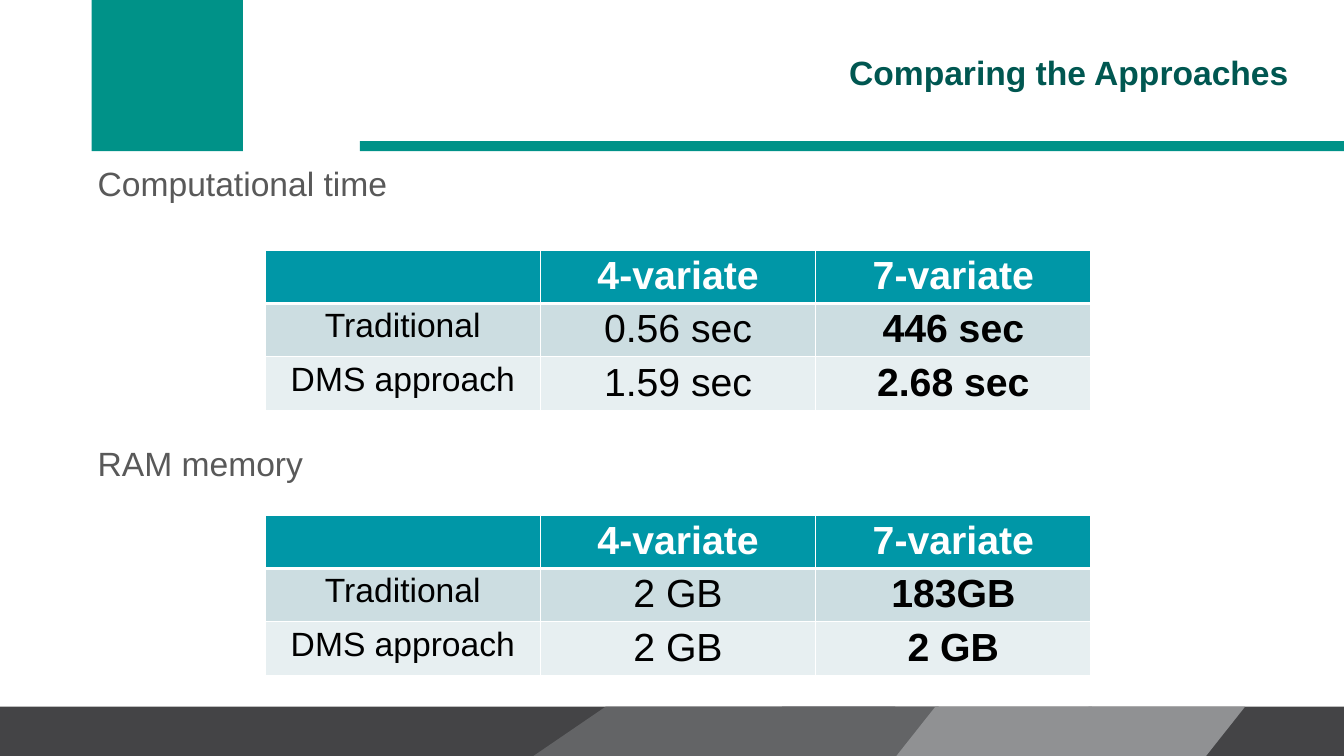
from dataclasses import dataclass

from lxml import etree
from pptx import Presentation
from pptx.dml.color import RGBColor
from pptx.enum.shapes import MSO_SHAPE
from pptx.enum.text import MSO_ANCHOR, MSO_AUTO_SIZE, PP_ALIGN
from pptx.oxml.ns import qn
from pptx.util import Inches, Pt

RECTANGLE = MSO_SHAPE.RECTANGLE
SLANTED = MSO_SHAPE.FLOWCHART_DATA
LEFT, CENTER, RIGHT = PP_ALIGN.LEFT, PP_ALIGN.CENTER, PP_ALIGN.RIGHT
TOP, MIDDLE = MSO_ANCHOR.TOP, MSO_ANCHOR.MIDDLE
NO_FIT = MSO_AUTO_SIZE.NONE


@dataclass(frozen=True)
class Theme:
    font: str = "Arial"
    teal: str = "009288"
    title: str = "005751"
    heading: str = "595959"
    table_head: str = "0097A7"
    odd_row: str = "CCDDE1"
    even_row: str = "E7EFF1"
    white: str = "FFFFFF"
    black: str = "000000"
    footer_dark: str = "444446"
    footer_mid: str = "636466"
    footer_light: str = "909193"
    normal_size: int = 24
    value_size: int = 28


def write_text(frame, text, *, theme, size, color, bold=False, align=LEFT, line_spacing=None):
    para = frame.paragraphs[0]
    para.alignment = align
    para.line_spacing = line_spacing
    font = para.font
    if text:
        span = para.add_run()
        span.text = text
        font = span.font
    font.name = theme.font
    font.size = Pt(size)
    font.bold = bold
    font.color.rgb = RGBColor.from_string(color)


class SlideBuilder:
    def __init__(self, page, theme):
        self.page = page
        self.theme = theme

    def block(self, kind, left, top, width, height, color):
        shape = self.page.shapes.add_shape(
            kind, Inches(left), Inches(top), Inches(width), Inches(height))
        shape.shadow.inherit = False
        shape.fill.solid()
        shape.fill.fore_color.rgb = RGBColor.from_string(color)
        shape.line.fill.background()

    def frame(self, box, anchor):
        frame = box.text_frame
        frame.word_wrap = True
        frame.auto_size = NO_FIT
        frame.vertical_anchor = anchor
        frame.margin_left = frame.margin_right = Inches(0.1)
        frame.margin_top = frame.margin_bottom = Inches(0.1)
        return frame

    def title(self, text, left, top, width, height):
        box = self.page.shapes.title
        box.left, box.top = Inches(left), Inches(top)
        box.width, box.height = Inches(width), Inches(height)
        write_text(self.frame(box, MIDDLE), text, theme=self.theme,
                   size=self.theme.normal_size, color=self.theme.title, bold=True, align=RIGHT)

    def heading(self, text, left, top, width, height):
        box = self.page.shapes.add_textbox(
            Inches(left), Inches(top), Inches(width), Inches(height))
        write_text(self.frame(box, TOP), text, theme=self.theme,
                   size=self.theme.normal_size, color=self.theme.heading, line_spacing=0.9)

    def borders(self, cell, top_width, bottom_width):
        properties = cell._tc.get_or_add_tcPr()
        widths = {"a:lnL": 1, "a:lnR": 1, "a:lnT": top_width, "a:lnB": bottom_width}
        for position, (tag, width) in enumerate(widths.items()):
            line = etree.Element(qn(tag), w=str(Pt(width)))
            fill = etree.SubElement(line, qn("a:solidFill"))
            etree.SubElement(fill, qn("a:srgbClr"), val=self.theme.white)
            properties.insert(position, line)

    def table(self, rows, left, top, column_width, row_height):
        theme = self.theme
        columns = len(rows[0])
        table = self.page.shapes.add_table(
            len(rows), columns, Inches(left), Inches(top),
            Inches(column_width * columns), Inches(row_height * len(rows))).table
        for column in table.columns:
            column.width = Inches(column_width)
        row_fills = (theme.table_head, theme.odd_row, theme.even_row)
        for row_index, values in enumerate(rows):
            table.rows[row_index].height = Inches(row_height)
            is_head = row_index == 0
            for column_index, text in enumerate(values):
                cell = table.cell(row_index, column_index)
                cell.margin_top = cell.margin_bottom = Inches(0.04)
                cell.fill.solid()
                cell.fill.fore_color.rgb = RGBColor.from_string(row_fills[row_index])
                self.borders(cell, 3 if row_index == 1 else 1, 3 if is_head else 1)
                is_label = column_index == 0 and not is_head
                write_text(cell.text_frame, text, theme=theme, align=CENTER,
                           size=theme.normal_size if is_label else theme.value_size,
                           color=theme.white if is_head else theme.black,
                           bold=is_head or column_index == columns - 1)


def main():
    deck = Presentation()
    deck.slide_width, deck.slide_height = Inches(13.33), Inches(7.5)
    theme = Theme()
    builder = SlideBuilder(deck.slides.add_slide(deck.slide_layouts[5]), theme)

    builder.block(RECTANGLE, 0.91, 0, 1.5, 1.5, theme.teal)
    builder.block(RECTANGLE, 3.57, 1.4, 9.76, 0.1, theme.teal)
    footer_top, footer_height = 7.01, 0.49
    builder.block(RECTANGLE, 0, footer_top, 13.33, footer_height, theme.footer_dark)
    for left, width, color in (
        (5.29, 3.59, theme.footer_mid),
        (7.37, 1.94, theme.footer_mid),
        (8.89, 1.94, theme.footer_light),
        (10.41, 1.94, theme.footer_light),
    ):
        builder.block(SLANTED, left, footer_top, width, footer_height, color)

    builder.title("Comparing the Approaches", 3.57, 0.01, 9.31, 1.4)

    header = ("", "4-variate", "7-variate")
    sections = (
        ("Computational time", 1.56, 2.48,
         (header, ("Traditional", "0.56 sec", "446 sec"),
          ("DMS approach", "1.59 sec", "2.68 sec"))),
        ("RAM memory", 4.34, 5.11,
         (header, ("Traditional", "2 GB", "183GB"),
          ("DMS approach", "2 GB", "2 GB"))),
    )
    for heading, heading_top, table_top, rows in sections:
        builder.heading(heading, 0.87, heading_top, 12, 0.55)
        builder.table(rows, 2.63, table_top, 2.73, 0.53)

    deck.save("out.pptx")


if __name__ == "__main__":
    main()
